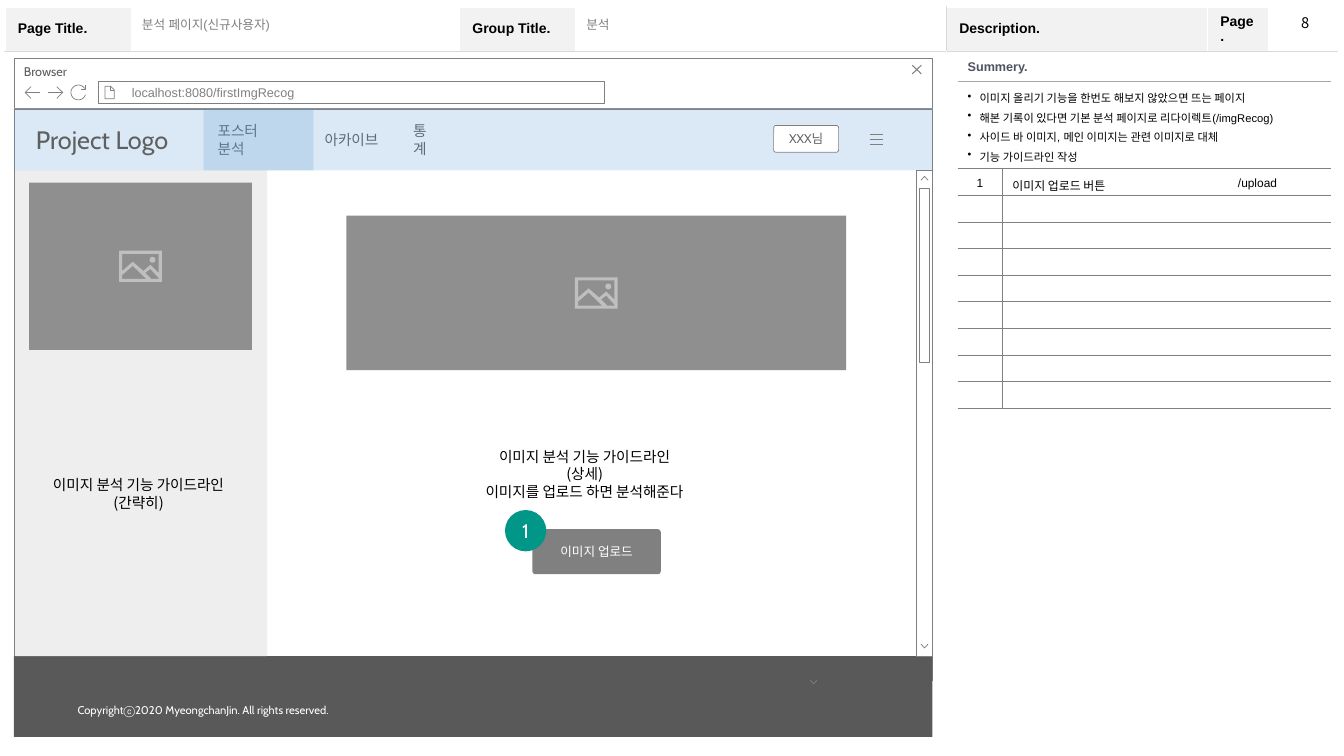
"""Builds the wireframe slide of the image analysis page for new users."""
import math
from lxml import etree
from pptx import Presentation
from pptx import util as u
from pptx.dml import color
from pptx.enum import shapes, text
from pptx.oxml import ns

Pt = u.Pt
RECT = shapes.MSO_SHAPE.RECTANGLE
ROUND = shapes.MSO_SHAPE.ROUNDED_RECTANGLE
OVAL = shapes.MSO_SHAPE.OVAL
LEFT, MID, JUST = text.PP_ALIGN.LEFT, text.PP_ALIGN.CENTER, text.PP_ALIGN.JUSTIFY
TOP, CORE, BASE = text.MSO_ANCHOR.TOP, text.MSO_ANCHOR.MIDDLE, text.MSO_ANCHOR.BOTTOM
NOTO = "Noto Sans CJK KR"
GRAY, INK, WHITE, PALE, BLUE = "808080", "5F5F5F", "FFFFFF", "D9D9D9", "5B9BD5"


def rgb(code):
    """Turn a hex string into a colour."""
    return color.RGBColor.from_string(code)


def sub(node, tag, **attrs):
    """Append a child element to an XML node."""
    return etree.SubElement(node, ns.qn(tag), **attrs)


class Page:
    """Holds the style and the current slide."""

    def __init__(self, slide, font="Cabin", line=0.5):
        self.items = slide.shapes
        self.font = font
        self.line = line

    def letter(self, frame, words, size, ink=INK, font=None, asian=None,
               bold=False, align=LEFT, space=None):
        """Fill a text frame and format its runs."""
        frame.text = words
        font = font or self.font
        for para in frame.paragraphs:
            para.alignment = align
            if space:
                para.line_spacing = space
            for run in para.runs:
                run.font.size = Pt(size)
                run.font.name = font
                run.font.bold = bold
                run.font.color.rgb = rgb(ink)
                sub(run.font._element, "a:ea", typeface=asian or font)
            if not para.runs:
                sub(para._p, "a:endParaRPr", sz=str(int(size * 100)))

    def pad(self, frame, pads, anchor):
        """Set the insets, wrapping and anchor of a text frame."""
        frame.word_wrap = True
        frame.vertical_anchor = anchor
        (frame.margin_left, frame.margin_top,
         frame.margin_right, frame.margin_bottom) = [Pt(p) for p in pads]

    def paint(self, shape, fill, line, width=None):
        """Set the fill and outline of a shape."""
        shape.shadow.inherit = False
        if fill:
            shape.fill.solid()
            shape.fill.fore_color.rgb = rgb(fill)
        else:
            shape.fill.background()
        if line:
            shape.line.color.rgb = rgb(line)
            shape.line.width = Pt(width or self.line)
        else:
            shape.line.fill.background()

    def box(self, x, y, w, h, fill=WHITE, line=None, kind=RECT, words="", size=9,
            pads=(7.2, 3.6, 7.2, 3.6), anchor=CORE, alpha=None, curve=None, **style):
        """Draw a preset shape with optional text."""
        shape = self.items.add_shape(kind, Pt(x), Pt(y), Pt(w), Pt(h))
        self.paint(shape, fill, line)
        if curve:
            shape.adjustments[0] = curve
        if alpha:
            tint = shape._element.spPr.find(".//" + ns.qn("a:srgbClr"))
            sub(tint, "a:alpha", val=str(alpha * 1000))
        if words:
            self.pad(shape.text_frame, pads, anchor)
            self.letter(shape.text_frame, words, size, **style)

    def label(self, x, y, w, h, words, size, pads=(7.2, 3.6, 7.2, 3.6),
              anchor=CORE, **style):
        """Place a text box."""
        frame = self.items.add_textbox(Pt(x), Pt(y), Pt(w), Pt(h)).text_frame
        self.pad(frame, pads, anchor)
        self.letter(frame, words, size, **style)

    def trace(self, x, y, lanes, fill=None, line=GRAY, width=None, close=False):
        """Draw an outline from point lists relative to a corner."""
        pen = None
        for lane in lanes:
            dots = [(Pt(x + a), Pt(y + b)) for a, b in lane]
            if pen is None:
                pen = self.items.build_freeform(*dots[0], scale=1.0)
            else:
                pen.move_to(*dots[0])
            pen.add_line_segments(dots[1:], close=close)
        self.paint(pen.convert_to_shape(), fill, line, width)

    def photo(self, x, y, w, h):
        """Draw an image block with its icon in the middle."""
        self.box(x, y, w, h, "8F8F8F")
        sun = [(23.8 + 2.1 * math.cos(t * math.pi / 8), 6.5 + 2.1 * math.sin(t * math.pi / 8))
               for t in range(16)]
        frame = [(0, 0), (30.5, 0), (30.5, 22.3), (0, 22.3)]
        sky = [(2.2, 2.2), (28.1, 2.2), (28.1, 15.8), (22.3, 10.1),
               (17.3, 14.4), (9.7, 7.9), (2.2, 14.4)]
        peak = [(9.7, 10.8), (19.4, 20.2), (2.2, 20.2), (2.2, 17.3)]
        hill = [(22.3, 13), (28.1, 19.4), (28.1, 20.2), (23, 20.2), (18.7, 15.8)]
        self.trace(x + (w - 30.5) / 2, y + (h - 22.3) / 2, [frame, sky, sun, peak, hill],
                   "BFBFBF", None, close=True)

    def grid(self, x, y, cols, rows):
        """Add a plain table and return it."""
        table = self.items.add_table(len(rows), len(cols), Pt(x), Pt(y),
                                     Pt(sum(cols)), Pt(sum(rows))).table
        table.first_row = table.horz_banding = False
        for part, wide in zip(table.columns, cols):
            part.width = Pt(wide)
        for part, tall in zip(table.rows, rows):
            part.height = Pt(tall)
        return table

    def cell(self, cell, words, edges, fill=None, size=8.5, pads=(7.2, 3.6, 7.2, 3.6), **style):
        """Fill a table cell; edges are left, right, top and bottom colours."""
        props = cell._tc.get_or_add_tcPr()
        for side, tone in zip("LRTB", edges):
            thin = tone and tone != WHITE
            edge = sub(props, "a:ln" + side, w=str(Pt(0.25 if thin else 1)))
            if tone:
                sub(sub(edge, "a:solidFill"), "a:srgbClr", val=tone)
            else:
                sub(edge, "a:noFill")
        if fill:
            cell.fill.solid()
            cell.fill.fore_color.rgb = rgb(fill)
        else:
            cell.fill.background()
        (cell.margin_left, cell.margin_top,
         cell.margin_right, cell.margin_bottom) = [Pt(p) for p in pads]
        cell.vertical_anchor = CORE
        self.letter(cell.text_frame, words, size, **style)


def header(page):
    """Draw the page frame with its title row."""
    table = page.grid(3.6, 5, [90.7, 234, 82.8, 265, 186.5, 43.9, 49], [31.5, 506])
    heads = ["Page Title.", "", "Group Title.", "", "Description.", "Page.", ""]
    for row in range(2):
        for col, head in enumerate(heads):
            edges = [PALE if col == 4 else WHITE, PALE if col == 3 else WHITE,
                     PALE if row else WHITE, WHITE if row else PALE]
            words = "" if row else head
            page.cell(table.cell(row, col), words, edges, "F2F2F2" if words else None,
                      10, (9.2, 4.2, 9.2, 4.2), ink="000000", font="Arial", bold=True)
    table.cell(1, 0).merge(table.cell(1, 3))
    table.cell(1, 4).merge(table.cell(1, 6))


def browser(page):
    """Draw the browser window and its bars."""
    page.box(10, 41.8, 656, 36, line=GRAY, words="Browser", anchor=TOP)
    page.box(10, 77.8, 656, 408, line=GRAY)
    page.trace(651.6, 46.6, [[(6.5, 0), (0, 6.2)], [(0, 0), (6.5, 6.2)]], width=0.75)
    page.box(70, 58.3, 362, 15.8, line=GRAY)
    page.trace(75, 61.7, [[(3.8, 0), (3.8, 2.6), (6.6, 2.6)],
                          [(0, 0), (0, 8.8), (6.6, 8.8), (6.6, 2.6), (4, 0), (0, 0)]])
    for x, tip, tail in ((18, 0, 10.4), (34.4, 10.4, 0)):
        wing = tip + (4.2 if tip == 0 else -4.2)
        page.trace(x, 61.9, [[(wing, 0), (tip, 4.2), (wing, 8.4)], [(tip, 4.2), (tail, 4.2)]])
    turn = [(5.3 * math.cos(math.radians(a)), 5.3 * math.sin(math.radians(a)))
            for a in range(17, 328, 10)]
    page.trace(56, 66.1, [[(5.2, -5.6), (5.2, -2), (1.6, -2)], turn])
    page.box(10, 468.7, 656, 57.6, "595959", words="Copyrightⓒ2020 MyeongchanJin. All rights reserved.",
             size=8, pads=(45.4, 3.6, 187, 14.4), anchor=BASE, ink=WHITE)
    page.trace(578.9, 486, [[(0, 0), (2.3, 2.5), (4.6, 0)]])
    page.box(654.5, 121.7, 11.5, 347, line=GRAY)
    page.box(657, 134.6, 6.5, 124.6, line=GRAY)
    for y, ends, tip in ((126, 2.8, 0), (460, 0, 2.8)):
        page.trace(657.8, y, [[(0, ends), (2.6, tip), (5.2, ends)]])
    page.box(10.8, 121.7, 180, 347, "EEEEEE")
    for x, w, name in ((145.4, 58.3, "포스터 분석"), (221.8, 62.6, "아카이브"), (285.1, 31.7, "통계")):
        page.label(x, 85, w, 29.5, name, 10.5, (10.1, 0, 10.1, 0))
    page.box(10, 77.8, 656, 43.9, BLUE, alpha=22, words="Project Logo", size=18,
             pads=(15.7, 3.6, 7.2, 3.6))
    page.trace(621.4, 95.8, [[(0, y), (9.7, y)] for y in (0, 3.7, 7.4)])
    page.box(552.6, 89.6, 46.4, 19.2, WHITE, GRAY, ROUND, "XXX님", 9, curve=0.09, align=MID)
    page.box(145.4, 77.8, 78.5, 43.9, BLUE, alpha=22)


def content(page):
    """Draw the images, guide texts and upload button."""
    for x, y, words in ((94.3, 8.6, "분석 페이지(신규사용자)"), (411.8, 8.6, "분석"),
                        (87.1, 57.6, "localhost:8080/firstImgRecog")):
        page.label(x, y, 233, 17.3, words, 9, ink=GRAY, font="Arial")
    page.label(922.3, 6.5, 28, 20, "8", 10.5, ink="000000", font=NOTO, anchor=TOP, space=Pt(12.7))
    page.photo(20.9, 130.5, 159, 119.5)
    page.box(380.3, 378, 91.7, 32.2, GRAY, None, ROUND, "이미지 업로드", 9,
             (3.6, 0.7, 3.6, 0.7), curve=0.07, align=MID, ink=WHITE)
    page.photo(247.5, 154, 357, 110.5)
    guide = "이미지 분석 기능 가이드라인\n"
    for x, y, w, h, more in ((330.5, 316, 174.2, 45.4, "(상세)\n이미지를 업로드 하면 분석해준다"),
                             (22.3, 336.2, 153.4, 32.4, "(간략히)")):
        page.label(x, y, w, h, guide + more, 10.5, anchor=TOP, ink="000000", font=NOTO,
                   align=MID, space=Pt(12.7))


def notes(page):
    """Draw the description table."""
    table = page.grid(684, 37.5, [31.9, 161.2, 73.6], [20.5, 62] + [19] * 9)
    points = ["이미지 올리기 기능을 한번도 해보지 않았으면 뜨는 페이지",
              "해본 기록이 있다면 기본 분석 페이지로 리다이렉트(/imgRecog)",
              "사이드 바 이미지, 메인 이미지는 관련 이미지로 대체", "기능 가이드라인 작성"]
    plain = dict(ink="000000", font="Arial", asian=NOTO, space=1.2)
    rule = "A6A6A6"
    for col in range(3):
        page.cell(table.cell(0, col), "" if col else "Summery.", [None, None, None, rule],
                  WHITE, 9, ink="4E5263", font="Arial", bold=True)
        page.cell(table.cell(1, col), "" if col else "\n".join(points),
                  [None, None, rule, GRAY], size=8, align=JUST, **plain)
    for row in (0, 1):
        table.cell(row, 0).merge(table.cell(row, 2))
    for para in table.cell(1, 0).text_frame.paragraphs:
        props = para._p.get_or_add_pPr()
        props.set("marL", str(Pt(8.6)))
        props.set("indent", str(-Pt(8.6)))
        sub(props, "a:buChar", char="•")
    for row in range(2, 11):
        for col, words in enumerate(("1", "이미지 업로드 버튼", "/upload")):
            edges = [GRAY if col == 1 else None, GRAY if col == 0 else None, GRAY, GRAY]
            page.cell(table.cell(row, col), words if row == 2 else "", edges,
                      align=JUST if col else MID, **plain)


def main():
    """Build and save the slide."""
    deck = Presentation()
    deck.slide_width, deck.slide_height = Pt(960), Pt(540)
    page = Page(deck.slides.add_slide(deck.slide_layouts[6]))
    header(page)
    browser(page)
    content(page)
    notes(page)
    page.box(360.7, 364.3, 29.5, 29.5, "009688", None, OVAL, "1", 14, (0, 0, 0, 0),
             align=MID, ink=WHITE)
    deck.save("out.pptx")


if __name__ == "__main__":
    main()
